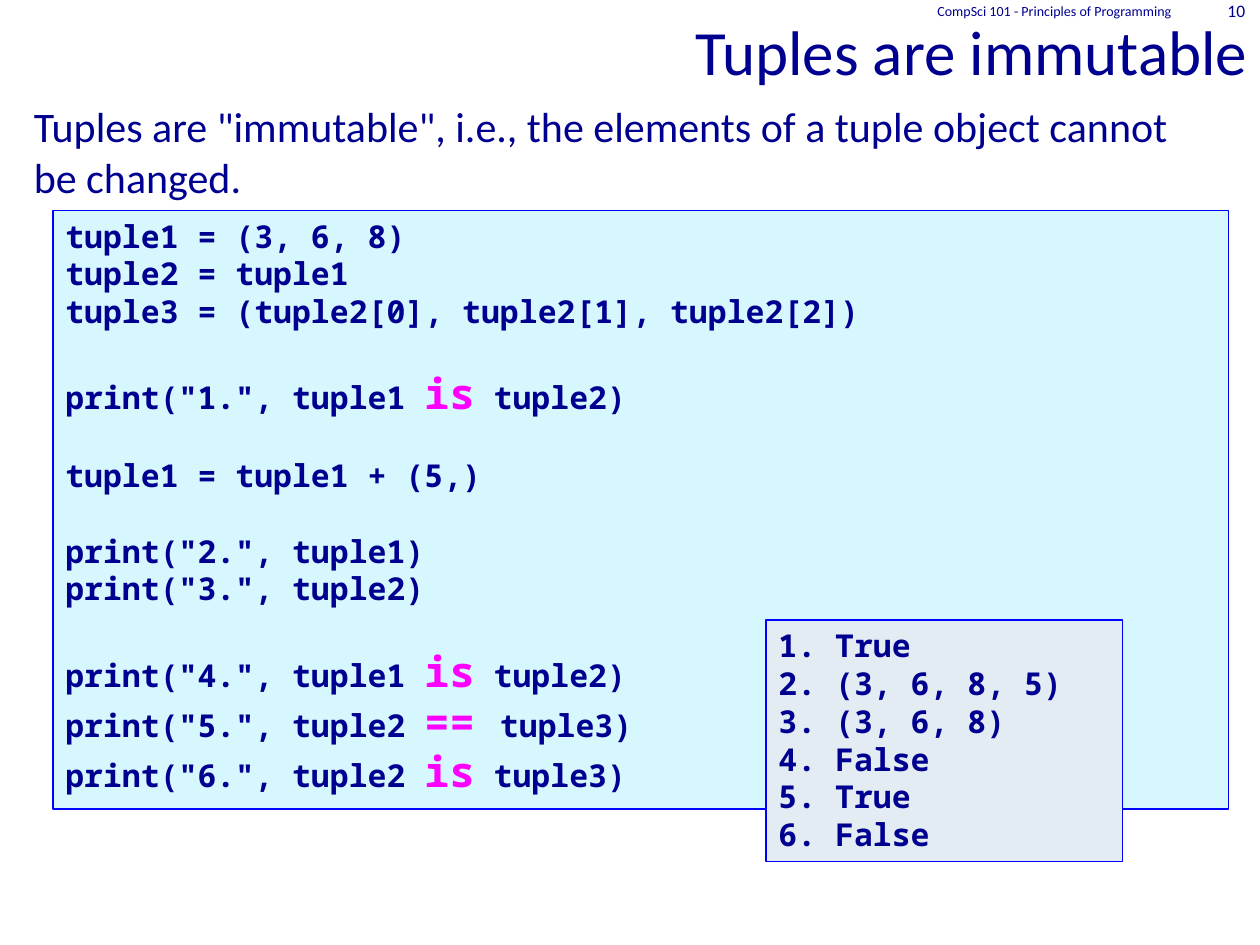
from pptx import Presentation
from pptx.dml.color import RGBColor
from pptx.enum.shapes import MSO_SHAPE
from pptx.enum.text import MSO_ANCHOR as Anchor, PP_ALIGN as Align
from pptx.util import Inches, Pt

NAVY, BLUE, MAGENTA = "000090", "0000FF", "FF00FF"
TEXT_FONT, CODE_FONT = "Calibri", "Noto Sans Mono"
CODE_SIZE, OPERATOR_SIZE, BLOCK_GAP = 18, 24, 21.6

CODE_BLOCKS = [
    [["tuple1 = (3, 6, 8)"],
     ["tuple2 = tuple1"],
     ["tuple3 = (tuple2[0], tuple2[1], tuple2[2])"]],
    [['print("1.", tuple1 ', "is", " tuple2)"]],
    [["tuple1 = tuple1 + (5,)"]],
    [['print("2.", tuple1)'],
     ['print("3.", tuple2)']],
    [['print("4.", tuple1 ', "is", " tuple2)"],
     ['print("5.", tuple2 ', "== ", "tuple3)"],
     ['print("6.", tuple2 ', "is", " tuple3)"]],
]
OUTPUT_BLOCKS = [[["1. True"], ["2. (3, 6, 8, 5)"], ["3. (3, 6, 8)"],
                  ["4. False"], ["5. True"], ["6. False"]]]


def color(hex_value):
    """Turn a hex string into a colour."""
    return RGBColor.from_string(hex_value)


def style_font(font, name, size, hex_value, bold=False):
    """Set the typeface, size, colour and weight of a font."""
    font.name, font.size, font.bold = name, Pt(size), bold
    font.color.rgb = color(hex_value)


def add_text(slide, box, text, size, align=Align.LEFT, anchor=Anchor.TOP, space_before=0):
    """Add a one-paragraph text box."""
    frame = slide.shapes.add_textbox(*map(Inches, box)).text_frame
    frame.word_wrap = True
    frame.vertical_anchor = anchor
    paragraph = frame.paragraphs[0]
    paragraph.text = text
    paragraph.alignment = align
    paragraph.space_before = Pt(space_before)
    style_font(paragraph.font, TEXT_FONT, size, NAVY)


def add_code_line(paragraph, parts):
    """Write one line of code, with the middle part as a highlighted operator."""
    paragraph.alignment = Align.LEFT
    style_font(paragraph.font, CODE_FONT, CODE_SIZE, NAVY, bold=True)
    for index, part in enumerate(parts):
        run = paragraph.add_run()
        run.text = part
        if index == 1:
            style_font(run.font, CODE_FONT, OPERATOR_SIZE, MAGENTA, bold=True)


def add_code_box(slide, box, fill, blocks):
    """Add a bordered panel holding blocks of code lines."""
    shape = slide.shapes.add_shape(MSO_SHAPE.RECTANGLE, *map(Inches, box))
    shape.shadow.inherit = False
    shape.fill.solid()
    shape.fill.fore_color.rgb = color(fill)
    shape.line.color.rgb = color(BLUE)
    shape.line.width = Pt(0.75)
    frame = shape.text_frame
    frame.word_wrap = True
    frame.vertical_anchor = Anchor.TOP
    paragraph = None
    for block in blocks:
        for line_index, parts in enumerate(block):
            starts_new_block = paragraph is not None and line_index == 0
            paragraph = frame.add_paragraph() if paragraph is not None else frame.paragraphs[0]
            add_code_line(paragraph, parts)
            if starts_new_block:
                paragraph.space_before = Pt(BLOCK_GAP)


def main():
    """Build the slide on immutable tuples."""
    presentation = Presentation()
    presentation.slide_width, presentation.slide_height = Inches(10), Inches(7.5)
    slide = presentation.slides.add_slide(presentation.slide_layouts[6])
    add_text(slide, (0, 0, 10, 0.75), "Tuples are immutable", 36, Align.RIGHT, Anchor.BOTTOM)
    add_text(slide, (0.17, 0.75, 9.58, 5.13),
             'Tuples are "immutable", i.e., the elements of a tuple object cannot be changed.',
             24, space_before=4.8)
    add_code_box(slide, (0.42, 1.67, 9.33, 4.75), "D7F7FF", CODE_BLOCKS)
    add_code_box(slide, (6.08, 4.92, 2.83, 1.92), "E3EBF3", OUTPUT_BLOCKS)
    add_text(slide, (6.4, 0, 3, 0.17), "CompSci 101 - Principles of Programming",
             8, Align.RIGHT, Anchor.MIDDLE)
    add_text(slide, (9.4, 0, 0.58, 0.17), "10", 10, Align.RIGHT, Anchor.MIDDLE)
    presentation.save("out.pptx")


if __name__ == "__main__":
    main()
